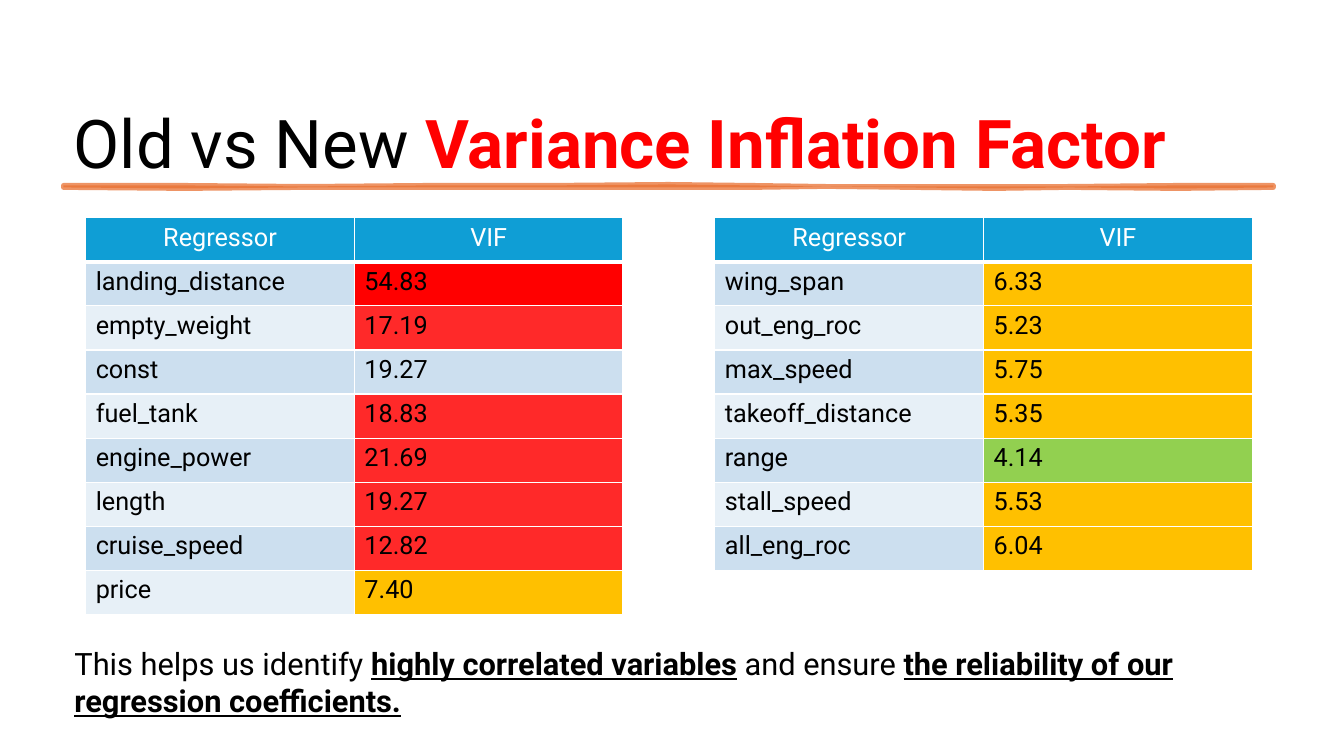
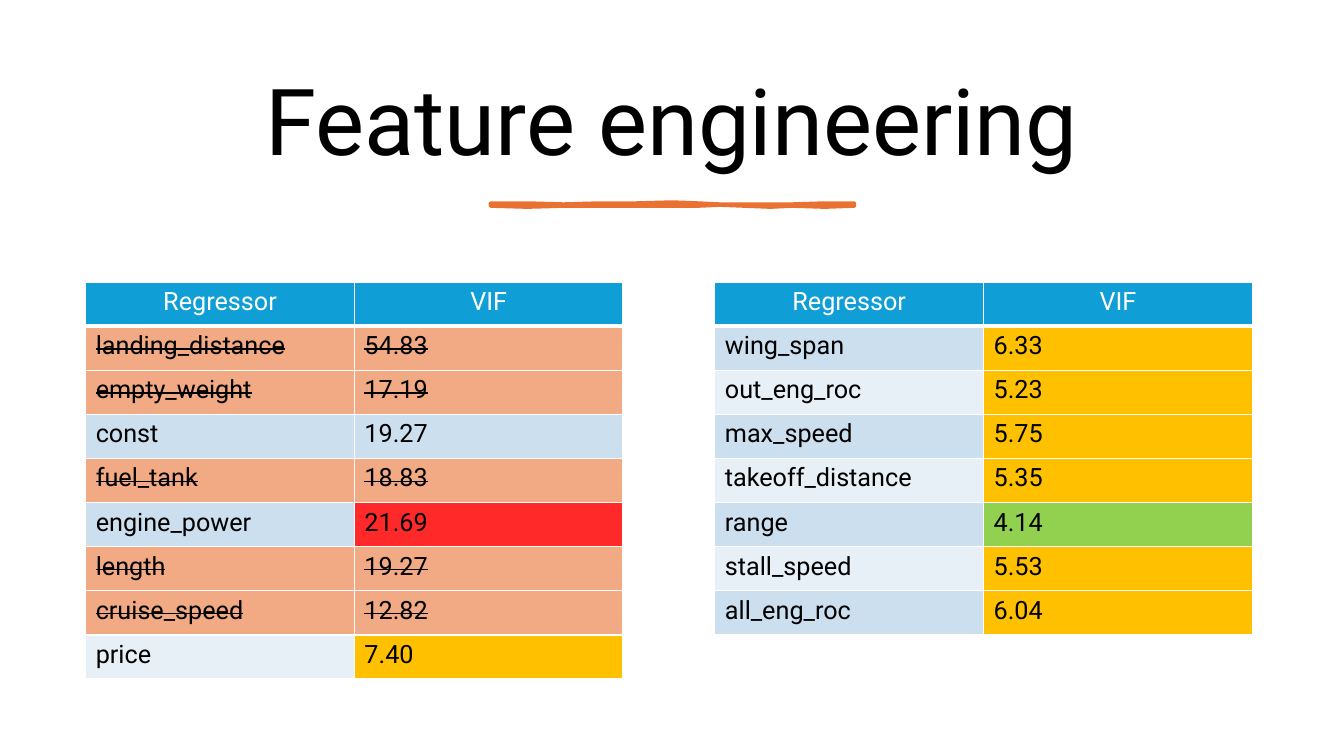
from pptx import Presentation
from pptx.dml.color import RGBColor
from pptx.enum.text import MSO_ANCHOR, MSO_AUTO_SIZE, PP_ALIGN
from pptx.oxml import parse_xml
from pptx.oxml.ns import nsdecls, qn
from pptx.util import Inches, Pt

LEFT, CENTER = PP_ALIGN.LEFT, PP_ALIGN.CENTER
TOP, MIDDLE = MSO_ANCHOR.TOP, MSO_ANCHOR.MIDDLE
NO_FIT = MSO_AUTO_SIZE.NONE

WHITE = RGBColor(0xFF, 0xFF, 0xFF)
BLACK = RGBColor(0x00, 0x00, 0x00)
RED = RGBColor(0xFF, 0x00, 0x00)
LIGHT_RED = RGBColor(0xFF, 0x29, 0x29)
AMBER = RGBColor(0xFF, 0xC0, 0x00)
GREEN = RGBColor(0x92, 0xD0, 0x50)
HEADER_BLUE = RGBColor(0x0F, 0x9E, 0xD5)
BAND_BLUE = RGBColor(0xCC, 0xDF, 0xEF)
PALE_BLUE = RGBColor(0xE7, 0xF0, 0xF7)
ORANGE = RGBColor(0xE9, 0x71, 0x32)
PALE_ORANGE = RGBColor(0xF2, 0xAA, 0x84)

FONT = "Roboto"
SLIDE_WIDTH, SLIDE_HEIGHT = Inches(13.33), Inches(7.5)
TITLE_ONLY_LAYOUT = 5

TABLE_LEFTS = (Inches(0.85), Inches(7.09))
COLUMN_WIDTH = Inches(5.33) // 2
ROW_HEIGHT = Inches(3.5) // 8

HEADER = ("Regressor", "VIF")
VIF_TABLES = (
    (
        ("landing_distance", 54.83), ("empty_weight", 17.19), ("const", 19.27),
        ("fuel_tank", 18.83), ("engine_power", 21.69), ("length", 19.27),
        ("cruise_speed", 12.82), ("price", 7.40),
    ),
    (
        ("wing_span", 6.33), ("out_eng_roc", 5.23), ("max_speed", 5.75),
        ("takeoff_distance", 5.35), ("range", 4.14), ("stall_speed", 5.53),
        ("all_eng_roc", 6.04),
    ),
)
DROPPED = {"landing_distance", "empty_weight", "fuel_tank", "length", "cruise_speed"}

# Share of the stroke's length, then top and bottom edge in inches.
BRUSH_EDGES = (
    (0, 0, 0.02), (0.1, 0, 0.03), (0.2, 0.01, 0.02), (0.3, 0, 0.02),
    (0.4, 0, 0.02), (0.5, -0.01, 0.02), (0.57, 0, 0.02), (0.63, 0.01, 0.01),
    (0.7, 0.01, 0.02), (0.77, 0.01, 0.03), (0.83, 0.01, 0.02),
    (0.92, 0, 0.03), (1, 0, 0.02),
)


def style_font(font, size, color=BLACK):
    font.name, font.size, font.color.rgb = FONT, Pt(size), color
    font.bold = False


def add_spans(para, spans):
    """Add (text, font settings) pairs as runs."""
    for text, settings in spans:
        span = para.add_run()
        span.text = text
        for name, value in settings.items():
            if name == "color":
                span.font.color.rgb = value
            else:
                setattr(span.font, name, value)


def set_title(page, spans, place, size, alignment, anchor):
    title = page.shapes.title
    title.left, title.top, title.width, title.height = place
    frame = title.text_frame
    frame.word_wrap, frame.auto_size = True, NO_FIT
    frame.vertical_anchor = anchor
    para = frame.paragraphs[0]
    para.alignment = alignment
    style_font(para.font, size)
    add_spans(para, spans)
    return para


def add_note(page, spans, place, size):
    frame = page.shapes.add_textbox(*place).text_frame
    frame.word_wrap = True
    para = frame.paragraphs[0]
    style_font(para.font, size)
    add_spans(para, spans)


def add_brush_stroke(page, left, top, width, weight, opacity=100):
    upper = [(left + width * share, top + Inches(high)) for share, high, _ in BRUSH_EDGES]
    lower = [(left + width * share, top + Inches(low)) for share, _, low in BRUSH_EDGES]
    outline = page.shapes.build_freeform(*upper[0])
    outline.add_line_segments(upper[1:] + lower[::-1], close=True)
    stroke = outline.convert_to_shape()
    stroke.shadow.inherit = False
    stroke.fill.solid()
    stroke.fill.fore_color.rgb = ORANGE
    stroke.line.color.rgb = ORANGE
    stroke.line.width = Pt(weight)
    if opacity < 100:
        for color in stroke._element.spPr.iter(qn("a:srgbClr")):
            color.append(parse_xml(f'<a:alpha {nsdecls("a")} val="{opacity * 1000}"/>'))


def add_borders(cell, bottom_weight):
    properties = cell._tc.get_or_add_tcPr()
    for side, weight in (("L", 1), ("R", 1), ("T", 1), ("B", bottom_weight)):
        properties.append(parse_xml(
            f'<a:ln{side} {nsdecls("a")} w="{Pt(weight)}"><a:solidFill>'
            f'<a:srgbClr val="{WHITE}"/></a:solidFill></a:ln{side}>'))


def fill_cell(cell, text, fill, color=BLACK, alignment=LEFT, bottom_weight=1, struck=False):
    add_borders(cell, bottom_weight)
    cell.fill.solid()
    cell.fill.fore_color.rgb = fill
    para = cell.text_frame.paragraphs[0]
    para.alignment = alignment
    style_font(para.font, 18, color)
    span = para.add_run()
    span.text = text
    # Table styles may outrank paragraph defaults for these two.
    span.font.bold, span.font.color.rgb = False, color
    if struck:
        span._r.get_or_add_rPr().set("strike", "sngStrike")


def vif_color(vif):
    for limit, color in ((50, RED), (10, LIGHT_RED), (5, AMBER)):
        if vif > limit:
            return color
    return GREEN


def row_fills(index, name, vif, struck):
    if struck:
        return PALE_ORANGE, PALE_ORANGE
    band = PALE_BLUE if index % 2 else BAND_BLUE
    return band, band if name == "const" else vif_color(vif)


def add_vif_table(page, left, top, rows, dropped):
    row_count = len(rows) + 1
    table = page.shapes.add_table(
        row_count, 2, left, top, 2 * COLUMN_WIDTH, row_count * ROW_HEIGHT).table
    table.horz_banding = False
    for column, heading in enumerate(HEADER):
        fill_cell(table.cell(0, column), heading, HEADER_BLUE, WHITE, CENTER, bottom_weight=3)
    for index, (name, vif) in enumerate(rows):
        struck = name in dropped
        fills = row_fills(index, name, vif, struck)
        for column, (text, fill) in enumerate(zip((name, f"{vif:.2f}"), fills)):
            fill_cell(table.cell(index + 1, column), text, fill, struck=struck)


def add_vif_tables(page, top, dropped=frozenset()):
    for left, rows in zip(TABLE_LEFTS, VIF_TABLES):
        add_vif_table(page, left, top, rows, dropped)


def build_comparison(page):
    add_brush_stroke(page, Inches(0.63), Inches(1.84), Inches(12), 3.5, opacity=75)
    set_title(
        page,
        [("Old vs New ", {}), ("Variance Inflation Factor", {"color": RED, "bold": True})],
        (Inches(0.63), Inches(0.96), Inches(12.31), Inches(0.91)), 48, LEFT, TOP)
    strong = {"bold": True, "underline": True}
    add_note(
        page,
        [("This helps us identify ", {}), ("highly correlated variables", strong),
         (" and ensure ", {}),
         ("the reliability of our regression coefficients.", strong)],
        (Inches(0.64), Inches(6.35), Inches(11.97), Inches(0.84)), 22)
    add_vif_tables(page, Inches(2.16))


def build_feature_engineering(page):
    para = set_title(
        page, [("Feature engineering", {})],
        (Inches(0.7), Inches(0.5), Inches(11.93), Inches(1.5)), 66, CENTER, MIDDLE)
    para.line_spacing, para.space_after = 0.9, Pt(6)
    add_brush_stroke(page, Inches(4.87), Inches(2.02), Inches(3.6), 3.25)
    add_vif_tables(page, Inches(2.8), DROPPED)


def main():
    deck = Presentation()
    deck.slide_width, deck.slide_height = SLIDE_WIDTH, SLIDE_HEIGHT
    for build in (build_comparison, build_feature_engineering):
        build(deck.slides.add_slide(deck.slide_layouts[TITLE_ONLY_LAYOUT]))
    deck.save("out.pptx")


if __name__ == "__main__":
    main()
